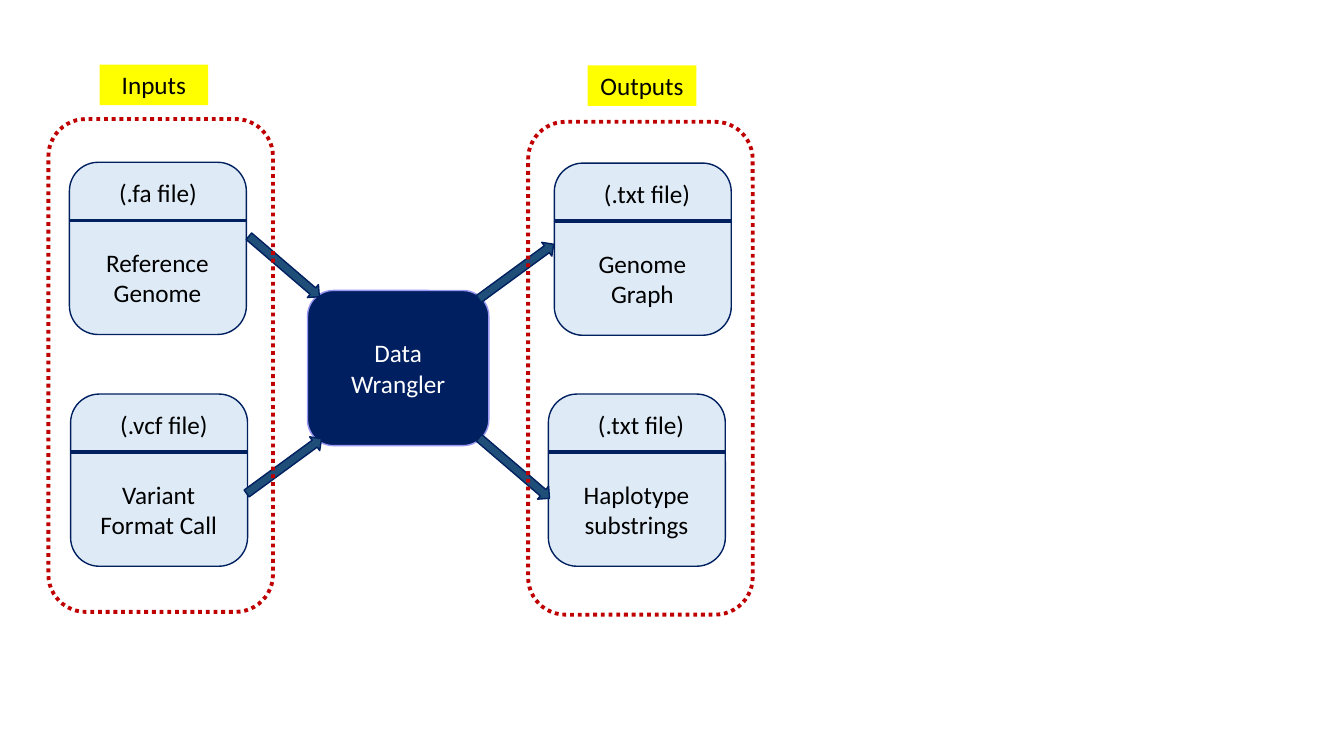
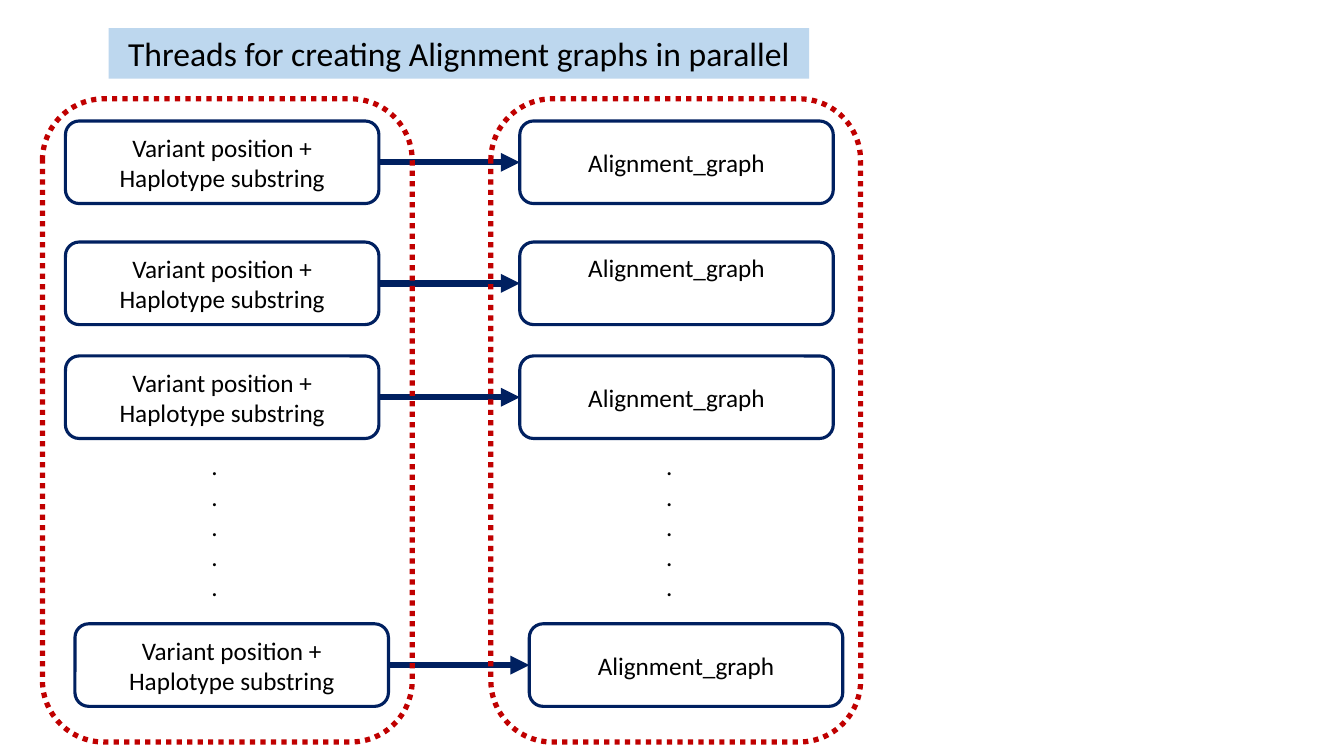
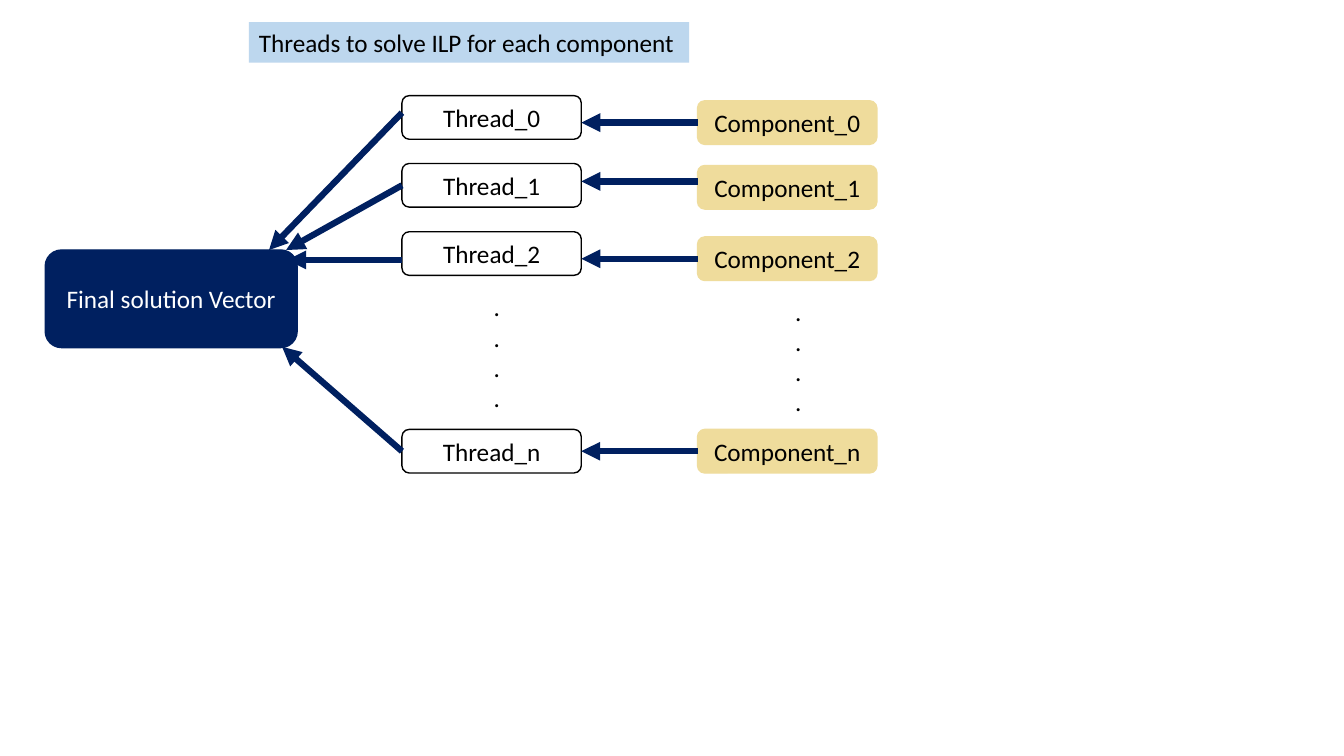
"""Build three slides on data wrangling, alignment threads and solver threads."""
import lxml.etree
import pptx
import pptx.dml.color
import pptx.enum.dml
import pptx.enum.shapes
import pptx.enum.text
import pptx.oxml.ns
import pptx.util

Cm = pptx.util.Cm
Pt = pptx.util.Pt
colour = pptx.dml.color.RGBColor.from_string
qn = pptx.oxml.ns.qn
SHAPE = pptx.enum.shapes.MSO_SHAPE
ALIGN = pptx.enum.text.PP_ALIGN
MIDDLE = pptx.enum.text.MSO_ANCHOR.MIDDLE

FONT = "Calibri"
NAVY, RED, BLACK, WHITE = "002060", "C00000", "000000", "FFFFFF"
PALE_BLUE, TITLE_BLUE, ARROW_BLUE = "DEEBF7", "BDD7EE", "1F4E79"
WRANGLER_BLUE, LILAC, YELLOW, SAND = "001F61", "9A97F2", "FFFF00", "EFDC9C"


def add_box(page, kind, at, text="", fill=None, line=None, width=1, ink=BLACK,
            align=ALIGN.CENTER, wrap=True):
    """Add a shape, or a text box when kind is None, placed in centimetres."""
    place = [Cm(length) for length in at]
    if kind is None:
        box = page.shapes.add_textbox(*place)
    else:
        box = page.shapes.add_shape(kind, *place)
        box.shadow.inherit = False
    if fill:
        box.fill.solid()
        box.fill.fore_color.rgb = colour(fill)
    else:
        box.fill.background()
    if line:
        box.line.color.rgb = colour(line)
        box.line.width = Pt(width)
    else:
        box.line.fill.background()
    if text:
        frame = box.text_frame
        frame.text = text
        frame.word_wrap = wrap
        frame.vertical_anchor = MIDDLE
        for para in frame.paragraphs:
            para.alignment = align
            for span in para.runs:
                span.font.name = FONT
                span.font.size = Pt(18)
                span.font.color.rgb = colour(ink)
    return box


def add_line(page, start, end, width=4.5, arrow=True, begin=None, finish=None):
    """Add a navy line, joined to a (box, side) at either end if one is given."""
    line = page.shapes.add_connector(
        pptx.enum.shapes.MSO_CONNECTOR.STRAIGHT, *[Cm(length) for length in start + end])
    line.line.color.rgb = colour(NAVY)
    line.line.width = Pt(width)
    if arrow:
        lxml.etree.SubElement(line.line._get_or_add_ln(), qn("a:tailEnd"), type="triangle")
    lxml.etree.SubElement(line._element.spPr, qn("a:effectLst"))
    if begin:
        line.begin_connect(*begin)
    if finish:
        line.end_connect(*finish)


deck = pptx.Presentation()
deck.slide_width, deck.slide_height = Cm(33.87), Cm(19.05)
wrangler_page = deck.slides.add_slide(deck.slide_layouts[6])

titled_pages = []
for text, at, size, align, wrap in [
    ("Threads for creating Alignment graphs in parallel",
     (2.74, 0.71, 17.65, 1.27), 24, ALIGN.CENTER, True),
    ("Threads to solve ILP for each component",
     (6.27, 0.56, 11.1, 1.02), 18, ALIGN.LEFT, False),
]:
    page = deck.slides.add_slide(deck.slide_layouts[5])
    title = page.shapes.title
    title.left, title.top, title.width, title.height = [Cm(length) for length in at]
    title.fill.solid()
    title.fill.fore_color.rgb = colour(TITLE_BLUE)
    title.text_frame.text = text
    title.text_frame.word_wrap = wrap
    title.text_frame.auto_size = pptx.enum.text.MSO_AUTO_SIZE.NONE
    title.text_frame.vertical_anchor = MIDDLE
    para = title.text_frame.paragraphs[0]
    para.alignment = align
    para.runs[0].font.name = FONT
    para.runs[0].font.size = Pt(size)
    para.runs[0].font.color.rgb = colour(BLACK)
    titled_pages.append(page)
alignment_page, solver_page = titled_pages

for left, top, file_type, file_width, content in [
    (1.75, 4.09, "(.fa file)", 2.49, "Reference Genome"),
    (1.78, 9.93, "(.vcf file)", 2.74, "Variant Format Call"),
    (13.97, 4.11, "(.txt file)", 2.72, "Genome Graph"),
    (13.82, 9.93, "(.txt file)", 2.72, "Haplotype substrings"),
]:
    add_box(wrangler_page, SHAPE.ROUNDED_RECTANGLE, (left, top, 4.46, 4.34),
            fill=PALE_BLUE, line=NAVY)
    add_line(wrangler_page, (left, top + 1.46), (left + 4.46, top + 1.46), 2.5, arrow=False)
    add_box(wrangler_page, None, (left + 1, top + 0.25, file_width, 1.02), file_type,
            align=ALIGN.LEFT, wrap=False)
    add_box(wrangler_page, None, (left + 0.48, top + 2.01, 3.48, 1.8), content)

add_box(wrangler_page, SHAPE.ROUNDED_RECTANGLE, (7.75, 7.32, 4.57, 3.91), "Data Wrangler",
        WRANGLER_BLUE, LILAC, ink=WHITE)

for left, top, angle in [(11.84, 6.63, 323.8), (5.99, 6.5, 40.6),
                         (5.99, 11.53, 323.8), (11.79, 11.58, 40.6)]:
    arrow = add_box(wrangler_page, SHAPE.RIGHT_ARROW, (left, top, 2.34, 0.43),
                    fill=ARROW_BLUE, line=NAVY)
    arrow.rotation = angle

for text, left, top in [("Inputs", 2.51, 1.63), ("Outputs", 14.81, 1.65)]:
    add_box(wrangler_page, SHAPE.RECTANGLE, (left, top, 2.74, 1.02), text, YELLOW)

for row, top in enumerate([3.05, 6.1, 8.97, 15.72]):
    shift = 0.24 if row == 3 else 0
    source, graph = [
        add_box(alignment_page, SHAPE.ROUNDED_RECTANGLE, (left + shift, top, 7.9, 2.08),
                text, line=NAVY, width=2.25)
        for left, text in [(1.65, "Variant position +\nHaplotype substring"),
                           (13.1, "Alignment_graph")]]
    if row == 1:
        graph.text_frame.margin_bottom = Cm(0.9)
    middle = top + 1.04
    add_line(alignment_page, (9.55 + shift, middle), (13.1 + shift, middle),
             begin=(source, 3), finish=(graph, 1))

for left in (5.08, 16.54):
    add_box(alignment_page, None, (left, 11.38, 0.81, 3.76), "\n".join("....."),
            align=ALIGN.LEFT)

for page, at, width in [
    (wrangler_page, (1.22, 3, 5.66, 12.42), 2.75),
    (wrangler_page, (13.31, 3.07, 5.66, 12.42), 2.75),
    (alignment_page, (1.07, 2.49, 9.32, 16.21), 3.75),
    (alignment_page, (12.37, 2.49, 9.32, 16.21), 3.75),
]:
    frame = add_box(page, SHAPE.ROUNDED_RECTANGLE, at, line=RED, width=width)
    frame.line.dash_style = pptx.enum.dml.MSO_LINE.ROUND_DOT

add_box(solver_page, SHAPE.ROUNDED_RECTANGLE, (1.14, 6.3, 6.35, 2.46),
        "Final solution Vector", NAVY, NAVY, ink=WHITE)

for name, component_top, thread_top, input_y, output_y, tip in [
    ("0", 2.54, 2.41, 3.09, 2.84, (6.78, 6.3)),
    ("1", 4.17, 4.12, 4.57, 4.67, (7.21, 6.3)),
    ("2", 5.97, 5.84, 6.52, 6.55, (7.24, 6.55)),
    ("n", 10.82, 10.82, 11.37, 11.37, (7.11, 8.74)),
]:
    component = add_box(solver_page, SHAPE.ROUNDED_RECTANGLE, (17.58, component_top, 4.52, 1.1),
                        "Component_" + name, SAND, SAND)
    thread = add_box(solver_page, SHAPE.ROUNDED_RECTANGLE, (10.13, thread_top, 4.52, 1.1),
                     "Thread_" + name, WHITE, BLACK)
    from_component, to_thread, from_thread = [
        (box, side) if abs(top + 0.55 - y) < 0.05 else None
        for box, side, top, y in [(component, 1, component_top, input_y),
                                  (thread, 3, thread_top, input_y),
                                  (thread, 1, thread_top, output_y)]]
    add_line(solver_page, (17.58, input_y), (14.65, input_y),
             begin=from_component, finish=to_thread)
    add_line(solver_page, (10.13, output_y), tip, begin=from_thread)

for left, top in [(12.19, 7.21), (19.79, 7.32)]:
    add_box(solver_page, None, (left, top, 0.71, 3.33), "\n".join("...."), align=ALIGN.LEFT)

deck.save("out.pptx")
